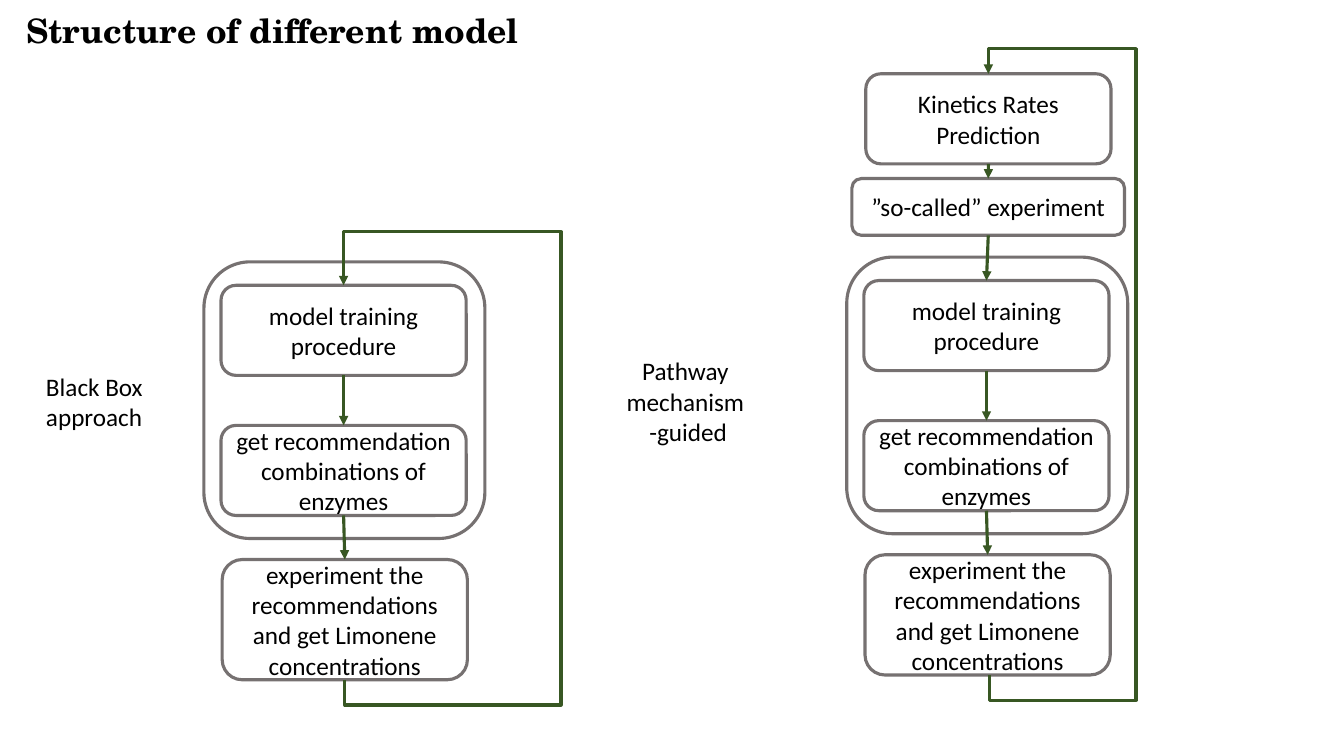
from dataclasses import dataclass

from lxml.etree import SubElement
from pptx import Presentation
from pptx.dml.color import RGBColor
from pptx.enum.shapes import MSO_CONNECTOR, MSO_SHAPE
from pptx.enum.text import MSO_ANCHOR, MSO_AUTO_SIZE, PP_ALIGN
from pptx.oxml.ns import qn
from pptx.util import Cm, Pt


@dataclass(frozen=True)
class Theme:
    ink: RGBColor = RGBColor(0x00, 0x00, 0x00)
    paper: RGBColor = RGBColor(0xFF, 0xFF, 0xFF)
    outline: RGBColor = RGBColor(0x76, 0x71, 0x71)
    arrow: RGBColor = RGBColor(0x38, 0x57, 0x23)
    title_font: str = "TeX Gyre Schola"
    body_font: str = "Calibri"
    title_size: Pt = Pt(24)
    body_size: Pt = Pt(18)
    line_width: Pt = Pt(2.25)


THEME = Theme()
TOP, BOTTOM = 0, 2  # connection sites of a rounded rectangle

# Steps in cm, relative to the frame: left, top, width, height, text
PREDICTION_STEPS = [
    (0.48, -4.62, 6.18, 2.27, "Kinetics Rates Prediction"),
    (0.13, -1.98, 6.87, 1.43, "”so-called” experiment"),
]
SHARED_STEPS = [
    (0.43, 0.59, 6.18, 2.27, "model training procedure"),
    (0.43, 4.12, 6.18, 2.27, "get recommendation combinations of enzymes"),
    (0.46, 7.5, 6.18, 3.03,
     "experiment the recommendations and get Limonene concentrations"),
]


def add_text(paragraph, text, font=THEME.body_font, size=THEME.body_size,
             bold=False):
    run = paragraph.add_run()
    run.text = text
    run.font.name = font
    run.font.size = size
    run.font.bold = bold
    run.font.color.rgb = THEME.ink


def add_title(slide, left, top, width, height, text):
    title = slide.shapes.title
    title.left, title.top = Cm(left), Cm(top)
    title.width, title.height = Cm(width), Cm(height)
    frame = title.text_frame
    frame.auto_size = MSO_AUTO_SIZE.NONE
    frame.word_wrap = False
    frame.vertical_anchor = MSO_ANCHOR.TOP
    paragraph = frame.paragraphs[0]
    paragraph.alignment = PP_ALIGN.LEFT
    add_text(paragraph, text, THEME.title_font, THEME.title_size, bold=True)


def add_label(slide, left, top, width, height, lines, alignment):
    label = slide.shapes.add_textbox(Cm(left), Cm(top), Cm(width), Cm(height))
    frame = label.text_frame
    frame.word_wrap = True
    for index, line in enumerate(lines):
        paragraph = frame.add_paragraph() if index else frame.paragraphs[0]
        paragraph.alignment = alignment
        add_text(paragraph, line)


def add_box(slide, left, top, width, height, text=""):
    box = slide.shapes.add_shape(MSO_SHAPE.ROUNDED_RECTANGLE, Cm(left),
                                 Cm(top), Cm(width), Cm(height))
    box.shadow.inherit = False
    box.fill.solid()
    box.fill.fore_color.rgb = THEME.paper
    box.line.color.rgb = THEME.outline
    box.line.width = THEME.line_width
    if text:
        box.text_frame.vertical_anchor = MSO_ANCHOR.MIDDLE
        paragraph = box.text_frame.paragraphs[0]
        paragraph.alignment = PP_ALIGN.CENTER
        add_text(paragraph, text)
    return box


def add_arrow(slide, source, target, kind=MSO_CONNECTOR.STRAIGHT):
    arrow = slide.shapes.add_connector(kind, 0, 0, 0, 0)
    arrow.begin_connect(source, BOTTOM)
    arrow.end_connect(target, TOP)
    arrow.line.color.rgb = THEME.arrow
    arrow.line.width = THEME.line_width
    properties = arrow._element.spPr
    SubElement(properties.find(qn("a:ln")), qn("a:tailEnd"), type="triangle")
    SubElement(properties, qn("a:effectLst"))
    return arrow


def add_feedback_loop(slide, source, target, lane, rise, drop=Cm(0.64)):
    """Lead from the last step back to the first along a lane on the right."""
    arrow = add_arrow(slide, source, target, MSO_CONNECTOR.ELBOW)
    end_x = target.left + target.width // 2
    length = source.top + source.height - target.top
    offset = Cm(0.03)
    # The connector lies on its side: a quarter turn of a mirrored shape
    arrow.width, arrow.height = length, offset
    arrow.left = end_x + offset // 2 - length // 2
    arrow.top = target.top + length // 2 - offset // 2
    transform = arrow._element.spPr.find(qn("a:xfrm"))
    for name, value in (("rot", "5400000"), ("flipH", "1"), ("flipV", "0")):
        transform.set(name, value)
    # Bends: below the source, along the lane, above the target
    geometry = arrow._element.spPr.find(qn("a:prstGeom"))
    geometry.set("prst", "bentConnector5")
    bends = (-drop / length, (end_x + offset - lane) / offset,
             1 + rise / length)
    guides = geometry.find(qn("a:avLst"))
    for number, bend in enumerate(bends, start=1):
        SubElement(guides, qn("a:gd"), name=f"adj{number}",
                   fmla=f"val {round(bend * 100000)}")


def add_workflow(slide, left, top, steps, lane, rise):
    # Frame around the model steps
    add_box(slide, left, top, 7.08, 6.97)
    # Steps, each led to from the one before
    boxes = [add_box(slide, left + x, top + y, width, height, text)
             for x, y, width, height, text in steps]
    for source, target in zip(boxes, boxes[1:]):
        add_arrow(slide, source, target)
    add_feedback_loop(slide, boxes[-1], boxes[0], Cm(left + lane), Cm(rise))


def main():
    presentation = Presentation()
    presentation.slide_width, presentation.slide_height = Cm(33.87), Cm(19.05)
    slide = presentation.slides.add_slide(presentation.slide_layouts[5])
    add_title(slide, 0.41, 0.13, 12.93, 1.27, "Structure of different model")

    # Black box approach
    add_label(slide, 0.91, 9.22, 3.12, 1.8, ["Black Box", "approach"],
              PP_ALIGN.LEFT)
    add_workflow(slide, 5.14, 6.6, SHARED_STEPS, lane=9, rise=1.35)

    # Pathway mechanism-guided approach
    add_label(slide, 15.34, 8.84, 4.01, 2.57,
              ["Pathway ", "mechanism ", "-guided"], PP_ALIGN.CENTER)
    add_workflow(slide, 21.34, 6.48, PREDICTION_STEPS + SHARED_STEPS,
                 lane=7.29, rise=0.64)
    presentation.save("out.pptx")


if __name__ == "__main__":
    main()
